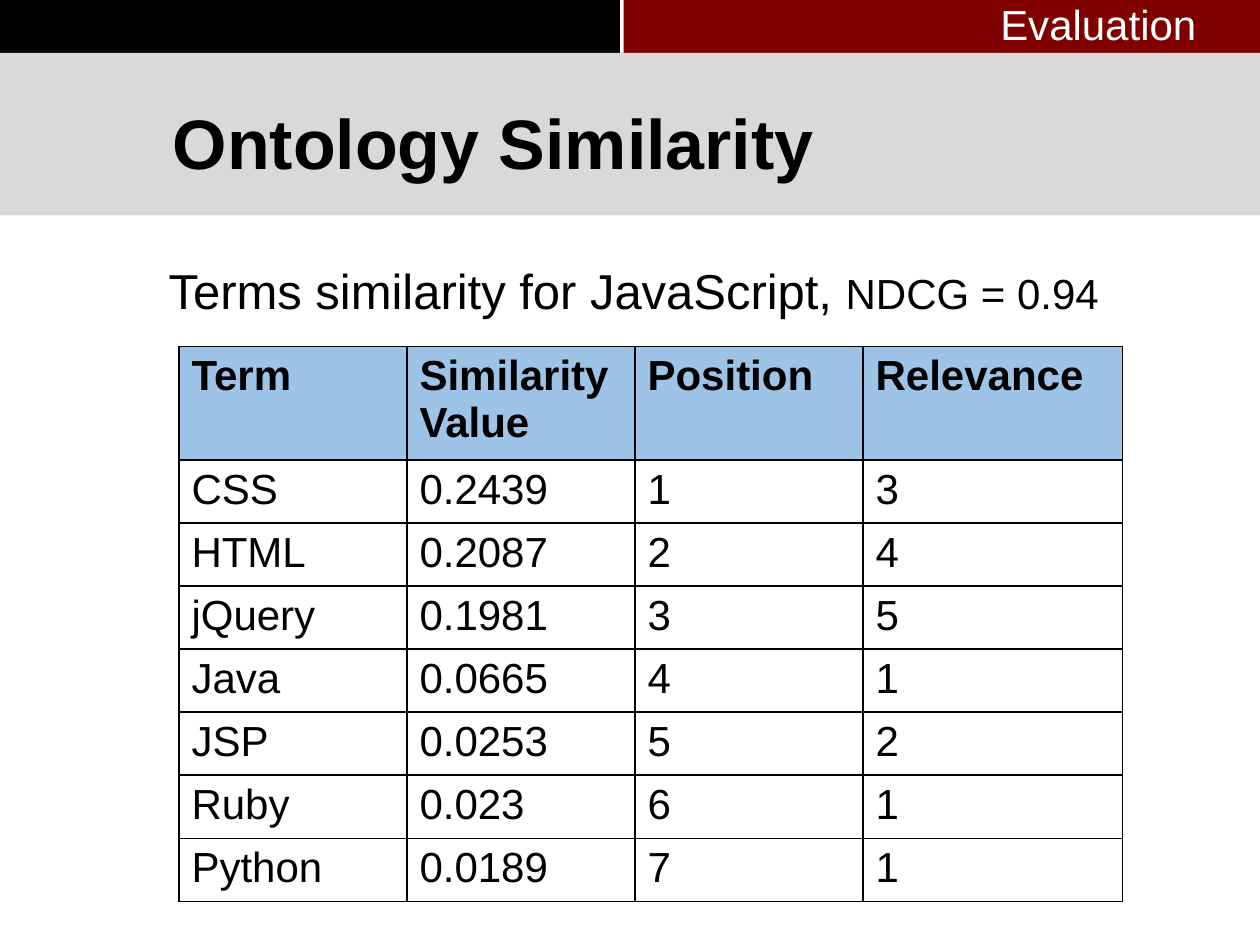
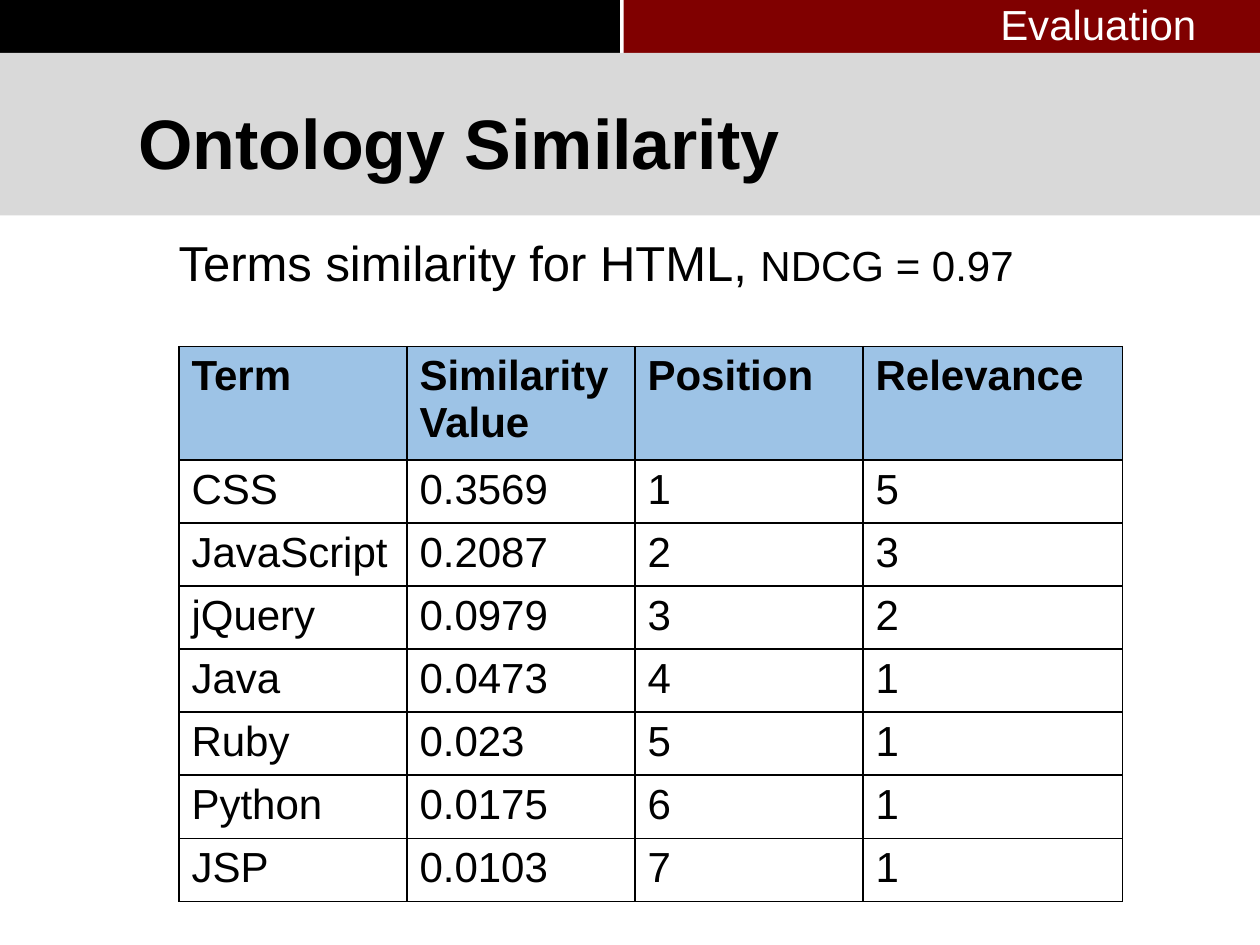
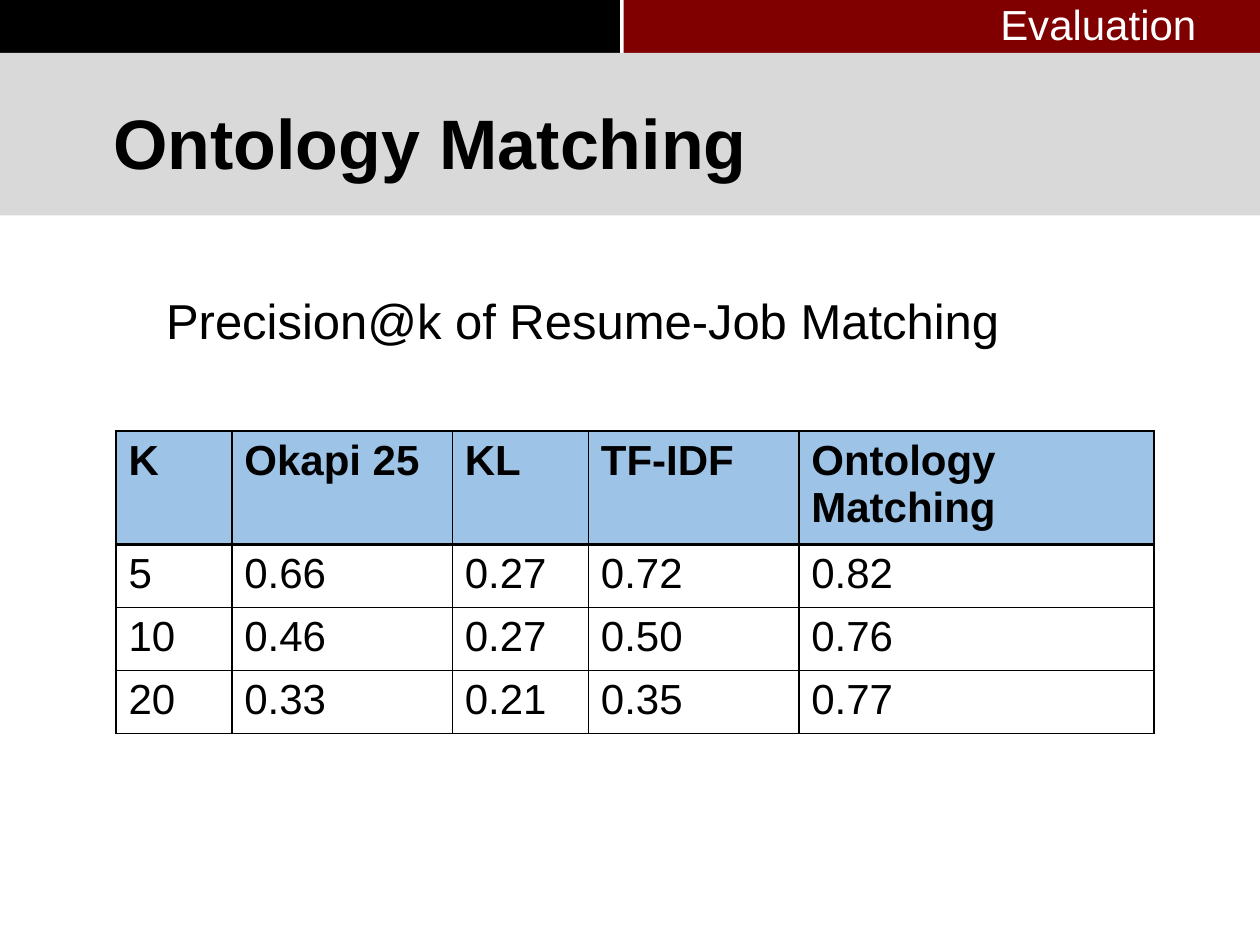
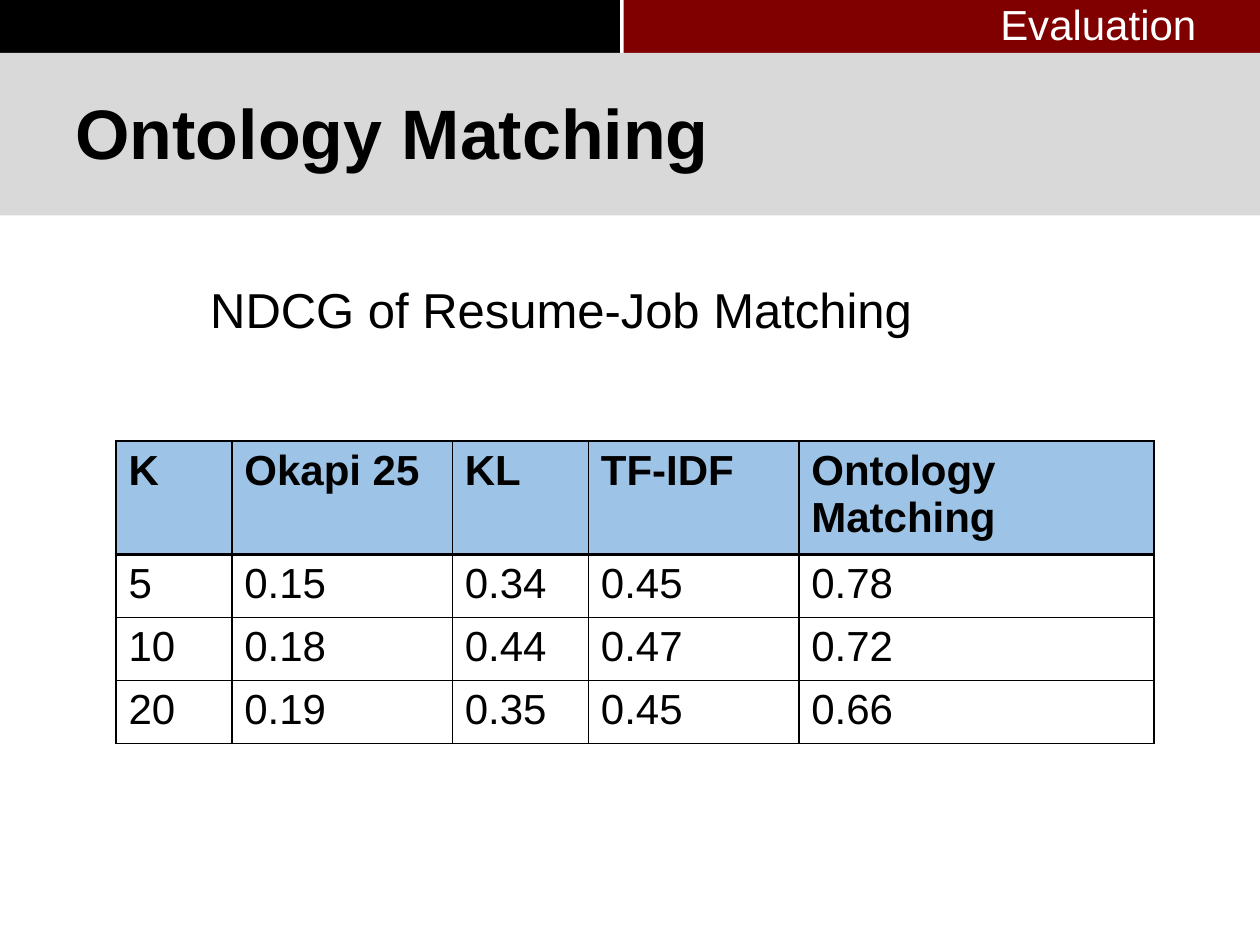
"""Build four evaluation slides on ontology similarity and ontology matching."""
from dataclasses import dataclass

from lxml import etree
from pptx import Presentation, util as u
from pptx.dml.color import RGBColor
from pptx.enum import shapes, text
from pptx.oxml.ns import qn

COLUMNS, ROWS = 100, 75
TITLE_ONLY = 5


@dataclass(frozen=True)
class Theme:
    font: str = "Arial"
    ink: str = "000000"
    paper: str = "FFFFFF"
    accent: str = "800000"
    band: str = "D9D9D9"
    header: str = "9DC3E6"
    title: int = 40
    caption: int = 28
    normal: int = 24


def assign(target, values):
    for name, value in values.items():
        setattr(target, name, value)


class Deck:
    def __init__(self, theme):
        self.theme = theme
        self.presentation = Presentation()
        assign(self.presentation, {"slide_width": u.Inches(10), "slide_height": u.Inches(7.5)})
        self.layout = self.presentation.slide_layouts[TITLE_ONLY]
        self.slide = None

    def across(self, columns):
        return round(self.presentation.slide_width * columns / COLUMNS)

    def down(self, rows):
        return round(self.presentation.slide_height * rows / ROWS)

    def place(self, left, top, width, height):
        return self.across(left), self.down(top), self.across(width), self.down(height)

    def paint(self, fill, color):
        fill.solid()
        fill.fore_color.rgb = RGBColor.from_string(color)

    def typeset(self, frame, *pieces, color=None, bold=False, **frame_format):
        assign(frame, frame_format)
        line = frame.paragraphs[0]
        line.alignment = text.PP_ALIGN.LEFT
        for words, size in pieces:
            run = line.add_run()
            run.text = words
            assign(run.font, {"name": self.theme.font, "size": u.Pt(size), "bold": bold})
            run.font.color.rgb = RGBColor.from_string(color or self.theme.ink)

    def rectangle(self, area, color):
        panel = self.slide.shapes.add_shape(shapes.MSO_SHAPE.RECTANGLE, *self.place(*area))
        panel.shadow.inherit = False
        panel.line.fill.background()
        self.paint(panel.fill, color)
        return panel

    def bands(self):
        regions = (
            ((0, 0, 49.2, 4.2), self.theme.ink),
            ((49.5, 0, 50.5, 4.2), self.theme.accent),
            ((0, 4.2, 100, 12.9), self.theme.band),
        )
        for position, (area, color) in enumerate(regions, start=2):
            band = self.rectangle(area, color)
            self.layout.shapes._spTree.insert(position, band._element)

    def open_slide(self):
        first = self.slide is None
        self.slide = self.presentation.slides.add_slide(self.layout)
        if first:
            self.bands()

    def title(self, words, area):
        heading = self.slide.shapes.title
        assign(heading, dict(zip(("left", "top", "width", "height"), self.place(*area))))
        self.typeset(heading.text_frame, (words, self.theme.title), bold=True,
                     vertical_anchor=text.MSO_ANCHOR.MIDDLE, auto_size=text.MSO_AUTO_SIZE.NONE)

    def caption(self, words, area, score=None):
        pieces = [(words, self.theme.caption)]
        if score:
            pieces.append((score, self.theme.normal))
        panel = self.rectangle(area, self.theme.paper)
        self.typeset(panel.text_frame, *pieces, word_wrap=True,
                     vertical_anchor=text.MSO_ANCHOR.TOP,
                     auto_size=text.MSO_AUTO_SIZE.SHAPE_TO_FIT_TEXT)

    def section(self, words):
        label = self.slide.shapes.add_textbox(*self.place(78.4, -0.6, 17.8, 5))
        self.typeset(label.text_frame, (words, self.theme.normal), color=self.theme.paper,
                     word_wrap=False, auto_size=text.MSO_AUTO_SIZE.SHAPE_TO_FIT_TEXT)

    def borders(self, cell, weights):
        properties = cell._tc.get_or_add_tcPr()
        for side, weight in weights.items():
            edge = etree.SubElement(properties, qn(f"a:ln{side}"), w=str(u.Pt(weight)))
            fill = etree.SubElement(edge, qn("a:solidFill"))
            etree.SubElement(fill, qn("a:srgbClr"), val=self.theme.ink)

    def table(self, records, widths, left, top, height, header_height=9, header_rule=1):
        area = self.place(left, top, sum(widths), height)
        grid = self.slide.shapes.add_table(len(records), len(widths), *area).table
        assign(grid, {"first_row": False, "horz_banding": False})
        for column, width in zip(grid.columns, widths):
            column.width = self.across(width)
        body_height = (height - header_height) / (len(records) - 1)
        for index, (row, record) in enumerate(zip(grid.rows, records)):
            is_header = index == 0
            row.height = self.down(header_height if is_header else body_height)
            rules = {"L": 1, "R": 1, "T": header_rule if index == 1 else 1,
                     "B": header_rule if is_header else 1}
            for cell, value in zip(row.cells, record):
                self.typeset(cell.text_frame, (value, self.theme.normal), bold=is_header)
                self.borders(cell, rules)
                if is_header:
                    self.paint(cell.fill, self.theme.header)
                else:
                    cell.fill.background()


def similarity_slide(deck, title_left, caption, caption_area, score, terms):
    deck.open_slide()
    deck.title("Ontology Similarity", (title_left, 5.8, 80.3, 10.9))
    deck.caption(caption, caption_area, score)
    deck.section("Evaluation")
    records = [("Term", "Similarity Value", "Position", "Relevance")]
    records += [(term, value, str(position), relevance)
                for position, (term, value, relevance) in enumerate(terms, start=1)]
    deck.table(records, (18.1, 18.1, 18.1, 20.6), 14.2, 27.5, 41.1)


def matching_slide(deck, title_area, caption, caption_corner, table_top, scores):
    deck.open_slide()
    deck.title("Ontology Matching", title_area)
    deck.caption(caption, (*caption_corner, 68.8, 5.7))
    deck.section("Evaluation")
    records = [("K", "Okapi 25", "KL", "TF-IDF", "Ontology Matching"), *scores]
    deck.table(records, (9.2, 17.5, 10.8, 16.7, 28.2), 9.2, table_top, 24, header_rule=2)


def main():
    deck = Deck(Theme())
    similarity_slide(
        deck, 12.7, "Terms similarity for JavaScript, ", (12.4, 20.2, 77.1, 5.7), "NDCG = 0.94",
        (("CSS", "0.2439", "3"), ("HTML", "0.2087", "4"), ("jQuery", "0.1981", "5"),
         ("Java", "0.0665", "1"), ("JSP", "0.0253", "2"), ("Ruby", "0.023", "1"),
         ("Python", "0.0189", "1")))
    similarity_slide(
        deck, 10, "Terms similarity for HTML, ", (13.2, 18, 77.1, 5.7), "NDCG = 0.97",
        (("CSS", "0.3569", "5"), ("JavaScript", "0.2087", "3"), ("jQuery", "0.0979", "2"),
         ("Java", "0.0473", "1"), ("Ruby", "0.023", "1"), ("Python", "0.0175", "1"),
         ("JSP", "0.0103", "1")))
    matching_slide(
        deck, (8, 5.8, 80.3, 10.9), "Precision@k of Resume-Job Matching", (12.2, 22.6), 34.2,
        (("5", "0.66", "0.27", "0.72", "0.82"), ("10", "0.46", "0.27", "0.50", "0.76"),
         ("20", "0.33", "0.21", "0.35", "0.77")))
    matching_slide(
        deck, (5, 5, 66.6, 10.9), "NDCG of Resume-Job Matching", (15.7, 21.7), 35,
        (("5", "0.15", "0.34", "0.45", "0.78"), ("10", "0.18", "0.44", "0.47", "0.72"),
         ("20", "0.19", "0.35", "0.45", "0.66")))
    deck.presentation.save("out.pptx")


if __name__ == "__main__":
    main()
